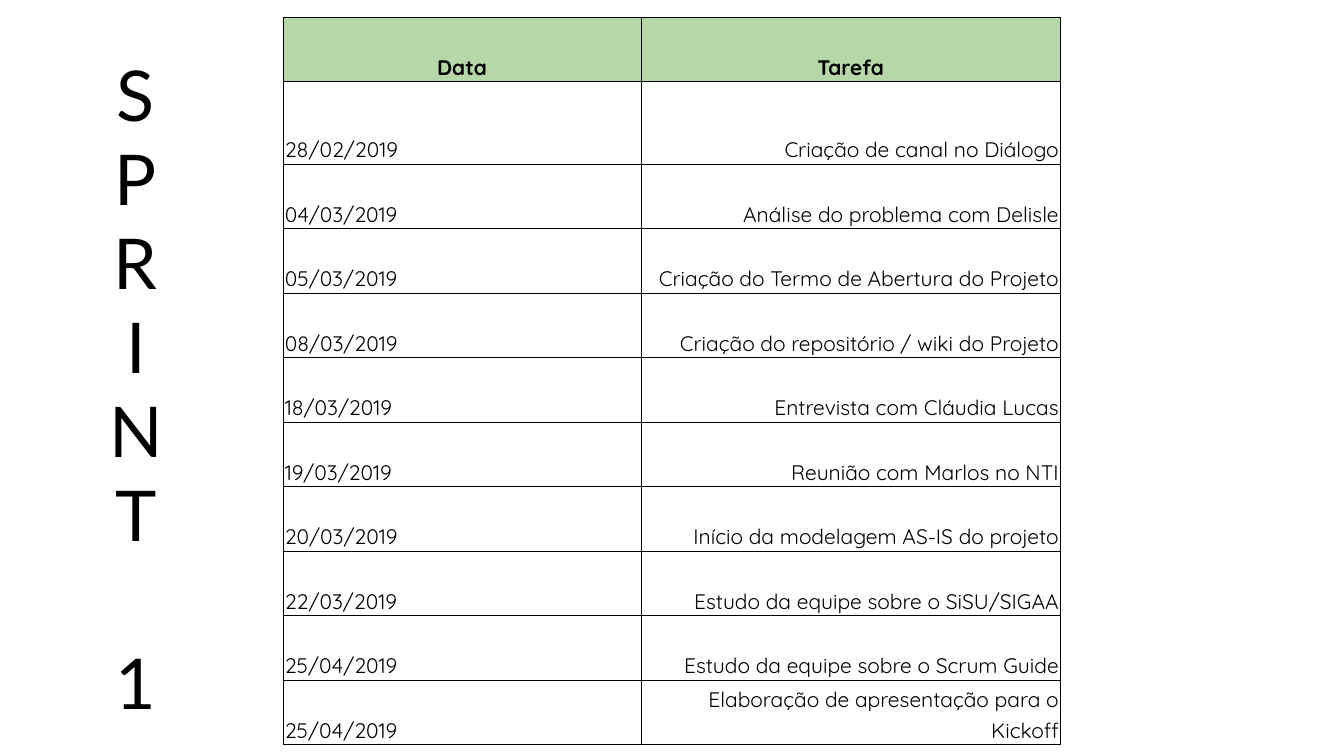
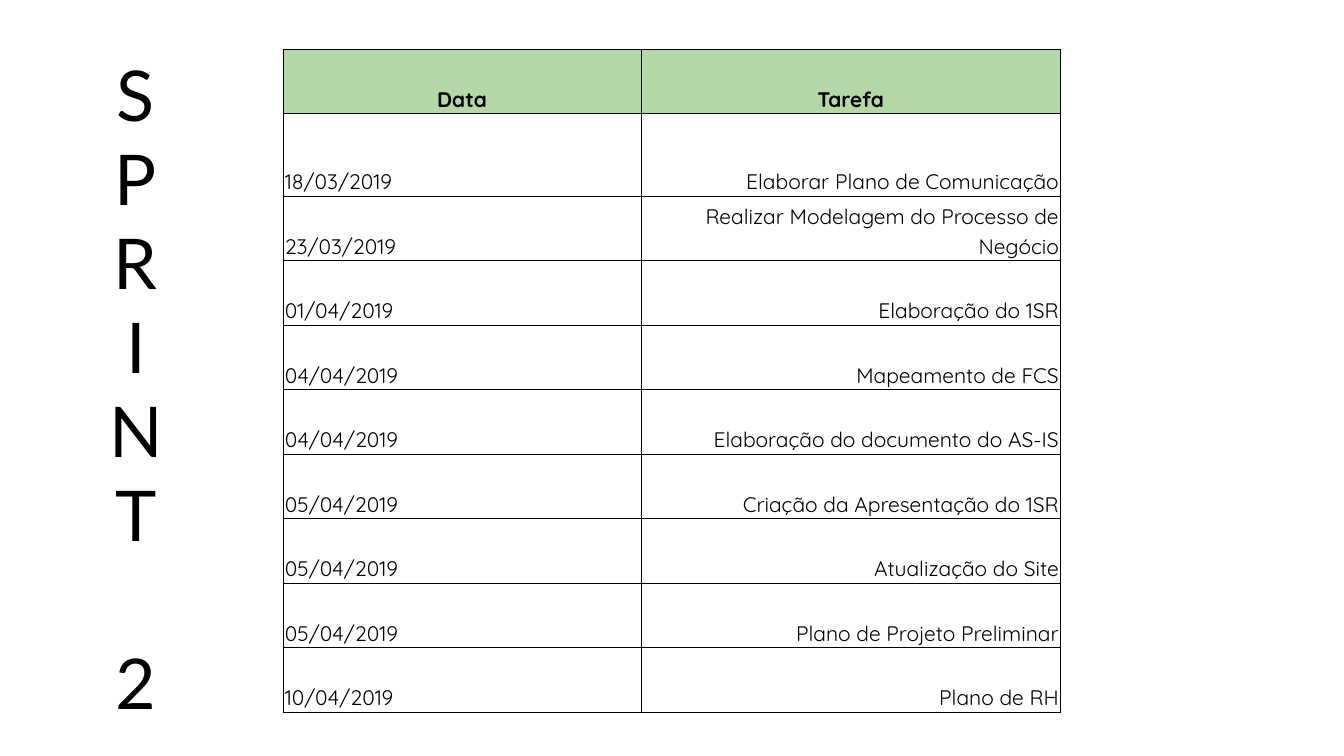
from dataclasses import dataclass

from lxml import etree
from pptx import Presentation
from pptx.dml.color import RGBColor
from pptx.enum import text
from pptx.oxml import ns
from pptx.util import Cm, Pt


@dataclass(frozen=True)
class Theme:
    ink: str = "000000"
    header_fill: str = "B6D7A8"
    title_font: str = "Lato"
    table_font: str = "Quicksand"
    title_size: int = 100
    table_size: int = 30
    table_spacing: float = 1.15
    border_width: float = 0.75


THEME = Theme()
TITLE_ONLY = 5
TITLE_BOX = (Cm(4.14), Cm(2.34), Cm(5.41), Cm(25.58))
TABLE_LEFT = Cm(14.27)
COLUMN_WIDTHS = (Cm(18.03), Cm(21.13))
ROW_HEIGHT, FIRST_TASK_HEIGHT = Cm(3.25), Cm(4.16)
HEADINGS = ("Data", "Tarefa")

# Each sprint: number, table top, tasks
SPRINTS = [
    ("1", Cm(0.86), [
        ("28/02/2019", "Criação de canal no Diálogo"),
        ("04/03/2019", "Análise do problema com Delisle"),
        ("05/03/2019", "Criação do Termo de Abertura do Projeto"),
        ("08/03/2019", "Criação do repositório / wiki do Projeto"),
        ("18/03/2019", "Entrevista com Cláudia Lucas"),
        ("19/03/2019", "Reunião com Marlos no NTI"),
        ("20/03/2019", "Início da modelagem AS-IS do projeto"),
        ("22/03/2019", "Estudo da equipe sobre o SiSU/SIGAA"),
        ("25/04/2019", "Estudo da equipe sobre o Scrum Guide"),
        ("25/04/2019", "Elaboração de apresentação para o Kickoff"),
    ]),
    ("2", Cm(2.47), [
        ("18/03/2019", "Elaborar Plano de Comunicação"),
        ("23/03/2019", "Realizar Modelagem do Processo de Negócio"),
        ("01/04/2019", "Elaboração do 1SR"),
        ("04/04/2019", "Mapeamento de FCS"),
        ("04/04/2019", "Elaboração do documento do AS-IS"),
        ("05/04/2019", "Criação da Apresentação do 1SR"),
        ("05/04/2019", "Atualização do Site"),
        ("05/04/2019", "Plano de Projeto Preliminar"),
        ("10/04/2019", "Plano de RH"),
    ]),
]


def format_paragraph(paragraph, font_name, size, alignment, bold=False):
    paragraph.alignment = alignment
    font = paragraph.font
    font.name, font.size, font.bold = font_name, Pt(size), bold
    font.color.rgb = RGBColor.from_string(THEME.ink)


def add_borders(cell):
    properties = cell._tc.get_or_add_tcPr()
    for side in ("lnL", "lnR", "lnT", "lnB"):
        line = etree.SubElement(properties, ns.qn(f"a:{side}"),
                                w=str(Pt(THEME.border_width)))
        fill = etree.SubElement(line, ns.qn("a:solidFill"))
        etree.SubElement(fill, ns.qn("a:srgbClr"), val=THEME.ink)


def format_cell(cell, wording, alignment, header):
    cell.text = wording
    cell.vertical_anchor = text.MSO_ANCHOR.BOTTOM
    cell.margin_left = cell.margin_right = Cm(0.08)
    cell.margin_top = cell.margin_bottom = Cm(0.05)
    paragraph = cell.text_frame.paragraphs[0]
    paragraph.line_spacing = THEME.table_spacing
    format_paragraph(paragraph, THEME.table_font, THEME.table_size,
                     alignment, bold=header)
    add_borders(cell)
    if header:
        cell.fill.solid()
        cell.fill.fore_color.rgb = RGBColor.from_string(THEME.header_fill)
    else:
        cell.fill.background()


def place_vertical_title(title, box, number):
    """Stack the letters of the title, one a line."""
    title.left, title.top, title.width, title.height = box
    frame = title.text_frame
    frame.text = "\n".join("SPRINT" + number)
    frame.word_wrap = True
    frame.auto_size = text.MSO_AUTO_SIZE.NONE
    frame.vertical_anchor = text.MSO_ANCHOR.TOP
    frame.margin_left = frame.margin_right = Cm(0.25)
    frame.margin_top = frame.margin_bottom = Cm(0.25)
    for paragraph in frame.paragraphs:
        format_paragraph(paragraph, THEME.title_font, THEME.title_size,
                         text.PP_ALIGN.CENTER)
    # One line of air between the word and its number
    frame.paragraphs[-1].space_before = Pt(1.2 * THEME.title_size)


def add_task_table(slide, left, top, tasks):
    rows = [HEADINGS, *tasks]
    heights = [ROW_HEIGHT, FIRST_TASK_HEIGHT] + [ROW_HEIGHT] * (len(tasks) - 1)
    table = slide.shapes.add_table(len(rows), len(HEADINGS), left, top,
                                   sum(COLUMN_WIDTHS), sum(heights)).table
    table.horz_banding = False
    for column, width in zip(table.columns, COLUMN_WIDTHS):
        column.width = width
    for row_index, (values, height) in enumerate(zip(rows, heights)):
        table.rows[row_index].height = height
        header = row_index == 0
        alignments = ([text.PP_ALIGN.CENTER] * 2 if header
                      else [text.PP_ALIGN.LEFT, text.PP_ALIGN.RIGHT])
        for column_index, (value, alignment) in enumerate(zip(values, alignments)):
            format_cell(table.cell(row_index, column_index), value,
                        alignment, header)


def add_sprint_slide(presentation, number, table_top, tasks):
    slide = presentation.slides.add_slide(presentation.slide_layouts[TITLE_ONLY])
    place_vertical_title(slide.shapes.title, TITLE_BOX, number)
    add_task_table(slide, TABLE_LEFT, table_top, tasks)


def main():
    presentation = Presentation()
    presentation.slide_width, presentation.slide_height = Cm(67.72), Cm(38.1)
    for number, table_top, tasks in SPRINTS:
        add_sprint_slide(presentation, number, table_top, tasks)
    presentation.save("out.pptx")


if __name__ == "__main__":
    main()
